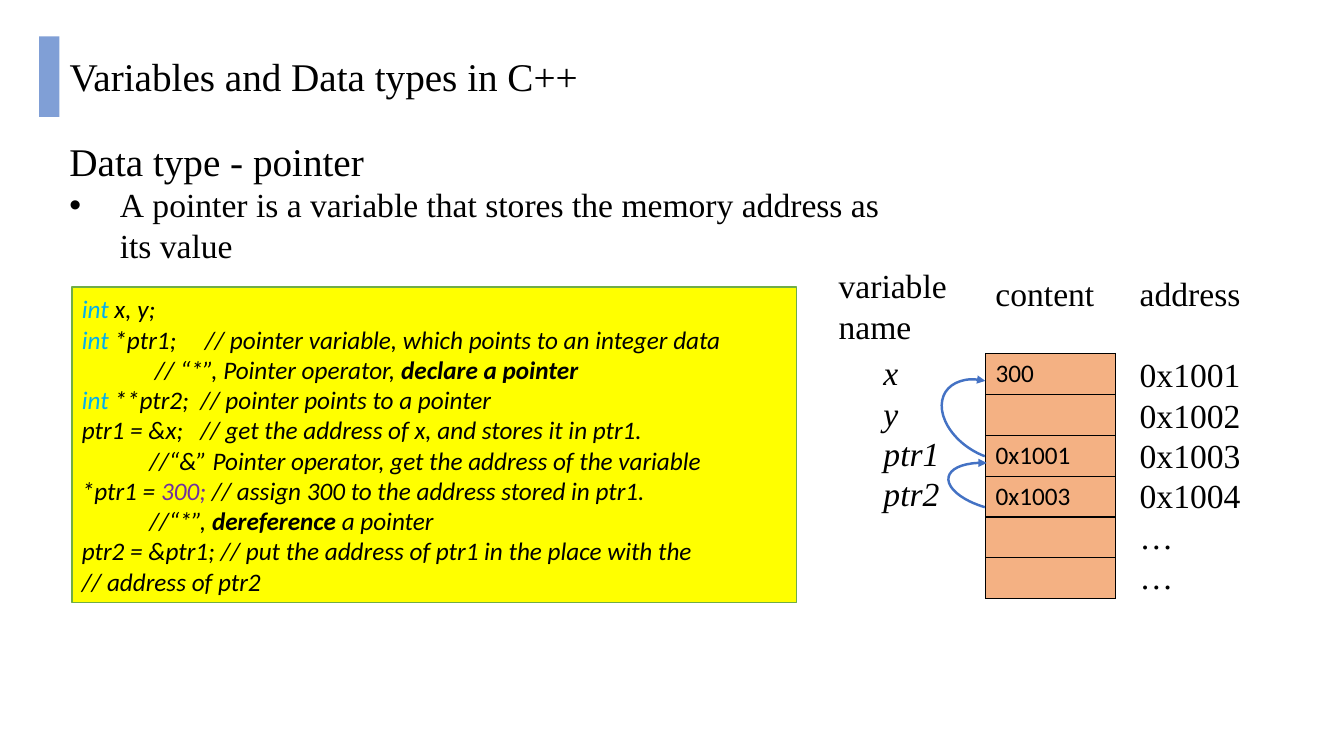
from lxml import etree
from pptx import Presentation
from pptx.dml.color import RGBColor
from pptx.enum import shapes, text
from pptx.oxml import ns
from pptx.util import Pt

SERIF, SANS = "Times New Roman", "Calibri"
BLACK, BLUE, GREEN = "000000", "4472C4", "70AD47"
YELLOW, ORANGE, KEYWORD, NUMBER = "FFFF00", "F4B183", "00B0F0", "7030A0"

TITLE = "Variables and Data types in C++"
SUBTITLE = "Data type - pointer"
DEFINITION = "A\u00a0pointer\u00a0is a variable that\u00a0stores the memory address as its value"
CODE = [
    [("int ", KEYWORD), ("x, y;", BLACK)],
    [("int", KEYWORD), (" *ptr1;     // pointer variable, which points to an integer data", BLACK)],
    [("\t    // “*”, Pointer operator, ", BLACK), ("declare a pointer", BLACK, True)],
    [("int", KEYWORD), (" **ptr2;  // pointer points to a pointer", BLACK)],
    [("ptr1 = &x;   // get the address of x, and stores it in ptr1.", BLACK)],
    [("\t   //“&” Pointer operator, get the address of the variable", BLACK)],
    [("*ptr1 = ", BLACK), ("300;", NUMBER), (" // assign 300 to the address stored in ptr1.", BLACK)],
    [("\t   //“*”, ", BLACK), ("dereference", BLACK, True), (" a pointer", BLACK)],
    [("ptr2 = &ptr1; // put the address of ptr1 in the place with the \t         // address of ptr2", BLACK)],
]
MEMORY = ["300", "", "0x1001", "0x1003", "", ""]
LABELS = [
    (["variable", "name"], 592, 186, 65, False),
    (["content"], 704, 191.5, 36, False),
    (["address"], 807, 191.5, 36, False),
    (["0x1001", "0x1002", "0x1003", "0x1004", "…", "…"], 807, 249.5, 182, False),
    (["x", "y", "ptr1", "ptr2"], 624, 248, 153, True),
]
LABEL_WIDTH = 91.5
ARROWS = [
    ((669.6, 275, 74.2, 49.7), 212.4, (146.871, 31.024)),
    ((676.8, 331.9, 73.4, 32.4), 191.6, (176.28, 31.024)),
]
CELL_LEFT, CELL_TOP, CELL_WIDTH, CELL_HEIGHT = 704, 252.5, 93, 29.2


def color(value):
    return RGBColor.from_string(value)


def points(*values):
    return [Pt(value) for value in values]


def add_xml(parent, tag, **attributes):
    return etree.SubElement(parent, ns.qn(tag), attributes)


def set_font(font, name, size, italic=False):
    font.name, font.size, font.italic = name, Pt(size), italic
    font.color.rgb = color(BLACK)


def add_text(lines, left, top, width, height, size=24, italic=False):
    frame = slide.shapes.add_textbox(*points(left, top, width, height)).text_frame
    frame.word_wrap = True
    frame.text = "\n".join(lines)
    for paragraph in frame.paragraphs:
        set_font(paragraph.font, SERIF, size, italic)
    return frame


def add_shape(kind, box):
    shape = slide.shapes.add_shape(kind, *points(*box))
    shape.shadow.inherit = False
    return shape


def add_border(cell):
    properties = cell._tc.get_or_add_tcPr()
    for position, side in enumerate(("a:lnL", "a:lnR", "a:lnT", "a:lnB")):
        line = etree.Element(ns.qn(side), w=str(Pt(1)))
        add_xml(add_xml(line, "a:solidFill"), "a:srgbClr", val=BLACK)
        properties.insert(position, line)


presentation = Presentation()
presentation.slide_width, presentation.slide_height = points(960, 540)
slide = presentation.slides.add_slide(presentation.slide_layouts[5])

title = slide.shapes.title
title.left, title.top, title.width, title.height = points(42.5, 34, 453.5, 41)
title.text_frame.text = TITLE
title.text_frame.word_wrap = True
title.text_frame.auto_size = text.MSO_AUTO_SIZE.NONE
title.text_frame.vertical_anchor = text.MSO_ANCHOR.TOP
title.text_frame.paragraphs[0].alignment = text.PP_ALIGN.LEFT
set_font(title.text_frame.paragraphs[0].font, SERIF, 28)

accent = add_shape(shapes.MSO_SHAPE.RECTANGLE, (28, 26, 14.5, 57.5))
accent.fill.solid()
accent.fill.fore_color.rgb = color(BLUE)
accent.line.fill.background()
add_xml(accent.fill._xPr.find(".//" + ns.qn("a:srgbClr")), "a:alpha", val="68000")

heading, bullet = add_text([SUBTITLE, DEFINITION], 42.5, 94.5, 613.5, 99.5).paragraphs
heading.font.size = Pt(28)
bullet_properties = bullet._p.get_or_add_pPr()
bullet_properties.set("marL", str(Pt(36)))
bullet_properties.set("indent", str(Pt(-36)))
bullet_properties.insert(0, etree.Element(ns.qn("a:buFont"), typeface="Arial"))
bullet_properties.insert(1, etree.Element(ns.qn("a:buChar"), char="•"))

code_box = add_shape(shapes.MSO_SHAPE.RECTANGLE, (51.4, 205, 517.5, 225.5))
code_box.fill.solid()
code_box.fill.fore_color.rgb = color(YELLOW)
code_box.line.color.rgb = color(GREEN)
code_box.line.width = Pt(1)
code_box.text_frame.word_wrap = True
for index, line in enumerate(CODE):
    frame = code_box.text_frame
    paragraph = frame.add_paragraph() if index else frame.paragraphs[0]
    paragraph.alignment = text.PP_ALIGN.LEFT
    set_font(paragraph.font, SANS, 18, True)
    for words, shade, *bold in line:
        run = paragraph.add_run()
        run.text = words
        run.font.color.rgb = color(shade)
        if bold:
            run.font.bold = True

table = slide.shapes.add_table(
    len(MEMORY), 1, *points(CELL_LEFT, CELL_TOP, CELL_WIDTH, CELL_HEIGHT * len(MEMORY))
).table
table.first_row = table.horz_banding = False
for row, value in enumerate(MEMORY):
    table.rows[row].height = Pt(CELL_HEIGHT)
    cell = table.cell(row, 0)
    cell.text = value
    set_font(cell.text_frame.paragraphs[0].font, SANS, 18)
    cell.fill.solid()
    cell.fill.fore_color.rgb = color(ORANGE)
    add_border(cell)

for lines, left, top, height, italic in LABELS:
    add_text(lines, left, top, LABEL_WIDTH, height, italic=italic)

for box, rotation, angles in ARROWS:
    arrow = add_shape(shapes.MSO_SHAPE.ARC, box)
    arrow.rotation = rotation
    arrow.adjustments[0], arrow.adjustments[1] = angles
    arrow.fill.background()
    arrow.line.color.rgb = color(BLUE)
    arrow.line.width = Pt(1.75)
    add_xml(arrow.line._get_or_add_ln(), "a:tailEnd", type="triangle")

presentation.save("out.pptx")
